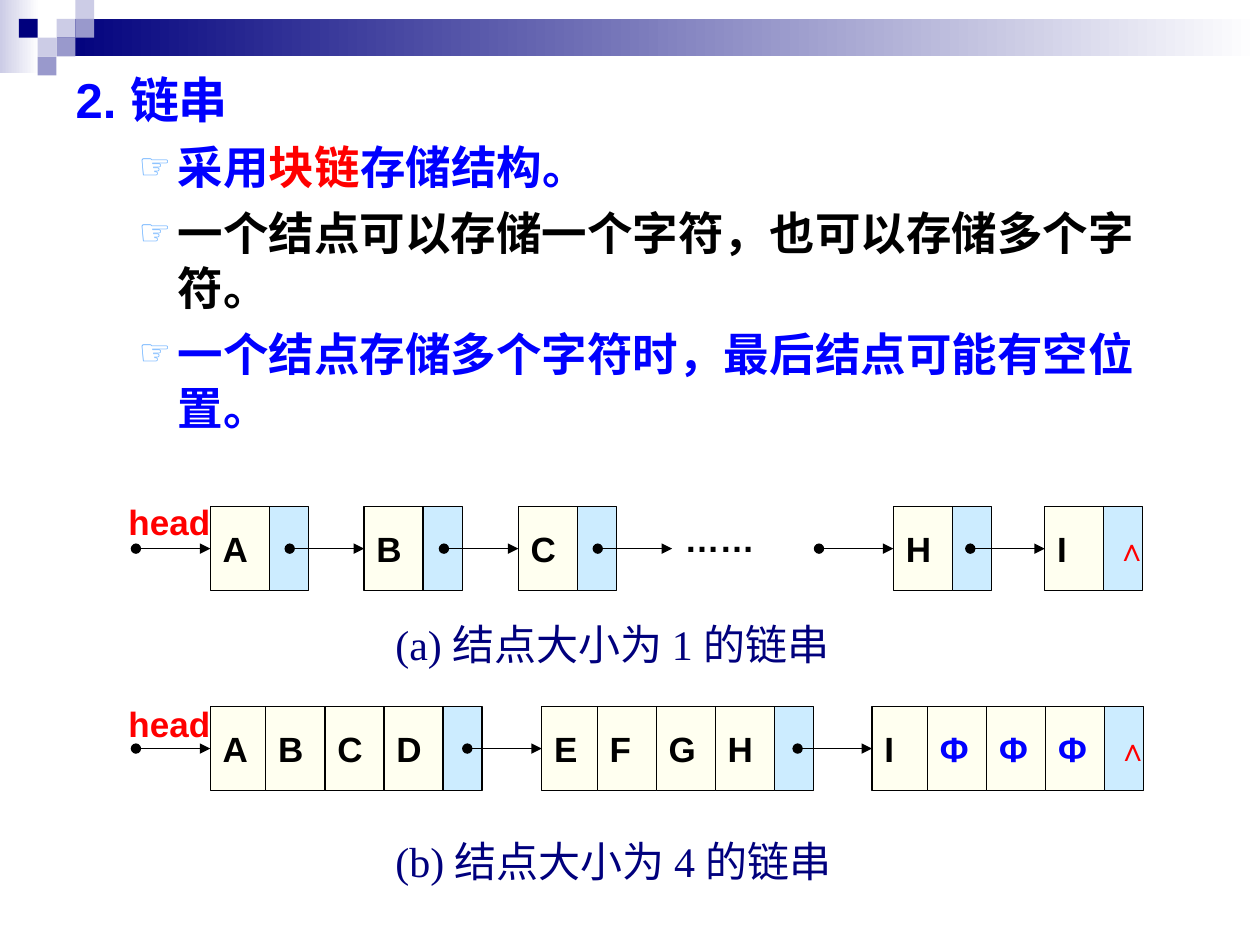
import dataclasses

import lxml.etree
import pptx
import pptx.dml.color
import pptx.enum.shapes
import pptx.enum.text
import pptx.oxml.ns
import pptx.util

Cm = pptx.util.Cm
Pt = pptx.util.Pt
qn = pptx.oxml.ns.qn


@dataclasses.dataclass(frozen=True)
class Theme:
    font: str = "Arial"
    caption_font: str = "Times New Roman"
    navy: str = "00007D"
    lilac: str = "CCCCE6"
    violet: str = "9999CC"
    white: str = "FFFFFF"
    blue: str = "0000FF"
    red: str = "FF0000"
    black: str = "000000"
    bullet: str = "67AFFF"
    data_fill: str = "FFFFF0"
    pointer_fill: str = "CCECFF"
    heading_size: int = 28
    body_size: int = 26
    caption_size: int = 24
    label_size: int = 20
    null_size: int = 18
    line_width: float = 0.75


def rgb(value):
    return pptx.dml.color.RGBColor.from_string(value)


def write(para, text, *, size, color, font, bold=True):
    span = para.add_run()
    span.text = text
    span.font.size = Pt(size)
    span.font.bold = bold
    span.font.name = font
    span.font.color.rgb = rgb(color)


class SlideBuilder:
    CELL_WIDTH = 1.19
    POINTER_WIDTH = 0.79
    NODE_HEIGHT = 1.7
    ARROW_LENGTH = 1.5

    def __init__(self, slide, theme):
        self.slide = slide
        self.theme = theme
        self.shapes = slide.shapes

    def start_group(self):
        """Put the elements that follow into a new group."""
        self.shapes = self.slide.shapes.add_group_shape().shapes

    def end_group(self):
        self.shapes = self.slide.shapes

    def rectangle(self, left, top, width, height, fill, fade_to=None, outlined=False):
        box = self.shapes.add_shape(
            pptx.enum.shapes.MSO_SHAPE.RECTANGLE,
            Cm(left), Cm(top), Cm(width), Cm(height))
        box.shadow.inherit = False
        if fade_to:
            box.fill.gradient()
            box.fill.gradient_angle = 0
            for stop, color in zip(box.fill.gradient_stops, (fill, fade_to)):
                stop.color.rgb = rgb(color)
        else:
            box.fill.solid()
            box.fill.fore_color.rgb = rgb(fill)
        if outlined:
            box.line.color.rgb = rgb(self.theme.black)
            box.line.width = Pt(self.theme.line_width)
        else:
            box.line.fill.background()
        return box

    def label(self, box, text, color, size=None):
        """Write one left-aligned, vertically centred line in box."""
        frame = box.text_frame
        frame.word_wrap = False
        frame.vertical_anchor = pptx.enum.text.MSO_ANCHOR.MIDDLE
        para = frame.paragraphs[0]
        para.alignment = pptx.enum.text.PP_ALIGN.LEFT
        write(para, text, size=size or self.theme.label_size, color=color,
              font=self.theme.font)

    def text(self, left, top, width, height, text, color):
        box = self.shapes.add_textbox(Cm(left), Cm(top), Cm(width), Cm(height))
        box.text_frame.margin_right = 0
        self.label(box, text, color)

    def caption(self, top, text):
        box = self.shapes.add_textbox(Cm(7.72), Cm(top), Cm(9.96), Cm(1.27))
        box.text_frame.word_wrap = True
        write(box.text_frame.paragraphs[0], text, size=self.theme.caption_size,
              color=self.theme.navy, font=self.theme.caption_font, bold=False)

    def arrow_to(self, right, row_top):
        """Draw a pointer that ends at right, halfway down a row of nodes."""
        y = Cm(row_top + self.NODE_HEIGHT / 2)
        arrow = self.shapes.add_connector(
            pptx.enum.shapes.MSO_CONNECTOR.STRAIGHT,
            Cm(right - self.ARROW_LENGTH), y, Cm(right), y)
        arrow.line.color.rgb = rgb(self.theme.black)
        arrow.line.width = Pt(self.theme.line_width)
        outline = arrow.line._get_or_add_ln()
        for end, kind in (("headEnd", "oval"), ("tailEnd", "triangle")):
            lxml.etree.SubElement(outline, qn(f"a:{end}"), type=kind)
        lxml.etree.SubElement(arrow._element.spPr, qn("a:effectLst"))

    def node(self, left, top, letters, first_width=CELL_WIDTH, last=False):
        """Draw one list node: a cell per letter, then its pointer field."""
        theme = self.theme
        for index, letter in enumerate(letters):
            width = self.CELL_WIDTH if index else first_width
            cell = self.rectangle(left, top, width, self.NODE_HEIGHT,
                                  theme.data_fill, outlined=True)
            self.label(cell, letter, theme.blue if letter == "Φ" else theme.black)
            left += width
        pointer = self.rectangle(left, top, self.POINTER_WIDTH, self.NODE_HEIGHT,
                                 theme.pointer_fill, outlined=True)
        if last:
            self.label(pointer, "∧", theme.red, theme.null_size)

    def banner(self):
        theme = self.theme
        unit = 0.38
        self.start_group()
        self.rectangle(0, 0, 0.79, 1.47, theme.lilac, fade_to=theme.white)
        self.rectangle(3 * unit, unit, 25.4 - 3 * unit, 2 * unit, theme.navy,
                       fade_to=theme.white)
        squares = ((3, 1, theme.lilac), (4, 0, theme.lilac), (4, 1, theme.violet),
                   (2, 2, theme.lilac), (1, 1, theme.navy), (3, 2, theme.violet),
                   (2, 3, theme.violet))
        for column, row, color in squares:
            self.rectangle(column * unit, row * unit, unit, unit, color)
        self.end_group()

    def body(self, heading, points):
        theme = self.theme
        title, body = self.slide.placeholders
        title._element.getparent().remove(title._element)
        body.left, body.top, body.width, body.height = Cm(1.27), Cm(1.27), Cm(22.86), Cm(15.88)
        frame = body.text_frame
        frame.auto_size = pptx.enum.text.MSO_AUTO_SIZE.NONE
        para = frame.paragraphs[0]
        para.space_before = Pt(0)
        self.indent(para, 0.97, 0.97)
        lxml.etree.SubElement(para._p.get_or_add_pPr(), qn("a:buNone"))
        write(para, heading, size=theme.heading_size, color=theme.blue, font=theme.font)
        for spans in points:
            para = frame.add_paragraph()
            para.level = 1
            para.space_before = Pt(6.5)
            self.indent(para, 2.06, 0.79)
            self.bullet(para, "☞")
            for text, color in spans:
                write(para, text, size=theme.body_size, color=color, font=theme.font)

    def indent(self, para, margin, hanging):
        """Set a hanging indent and keep closing punctuation inside the margin."""
        properties = para._p.get_or_add_pPr()
        properties.set("marL", str(Cm(margin)))
        properties.set("indent", str(-Cm(hanging)))
        properties.set("hangingPunct", "0")

    def bullet(self, para, character):
        properties = para._p.get_or_add_pPr()
        color = lxml.etree.SubElement(properties, qn("a:buClr"))
        lxml.etree.SubElement(color, qn("a:srgbClr"), val=self.theme.bullet)
        lxml.etree.SubElement(properties, qn("a:buSzPct"), val="80000")
        lxml.etree.SubElement(properties, qn("a:buFont"), typeface=self.theme.font)
        lxml.etree.SubElement(properties, qn("a:buChar"), char=character)

    def linked_list(self, top, label_top, nodes, first_width=CELL_WIDTH, ellipsis_left=None):
        """Draw a row of nodes, each with the arrow that leads to it."""
        self.start_group()
        self.text(2.34, label_top, 1.95, 0.99, "head", self.theme.red)
        for index, (left, letters) in enumerate(nodes):
            self.node(left, top, letters, first_width, last=index == len(nodes) - 1)
        for left, _ in nodes:
            self.arrow_to(left, top)
        if ellipsis_left:
            self.arrow_to(ellipsis_left, top)
            self.text(ellipsis_left, 10.13, 2.54, 1.47, "……", self.theme.black)
        self.end_group()


def main():
    deck = pptx.Presentation()
    deck.slide_width, deck.slide_height = Cm(25.4), Cm(19.05)
    theme = Theme()
    page = SlideBuilder(deck.slides.add_slide(deck.slide_layouts[1]), theme)
    page.banner()
    page.body("2. 链串", (
        (("采用", theme.blue), ("块链", theme.red), ("存储结构。", theme.blue)),
        (("一个结点可以存储一个字符，也可以存储多个字符。", theme.black),),
        (("一个结点存储多个字符时，最后结点可能有空位置。", theme.blue),),
    ))
    page.linked_list(10.21, 10.01, (
        (4.24, "A"), (7.34, "B"), (10.45, "C"), (18.01, "H"), (21.06, "I"),
    ), ellipsis_left=13.55)
    page.linked_list(14.24, 14.1, (
        (4.24, "ABCD"), (10.92, "EFGH"), (17.58, "IΦΦΦ"),
    ), first_width=1.12)
    page.caption(12.34, "(a) 结点大小为 1 的链串")
    page.caption(16.71, "(b) 结点大小为 4 的链串")
    deck.save("out.pptx")


if __name__ == "__main__":
    main()
